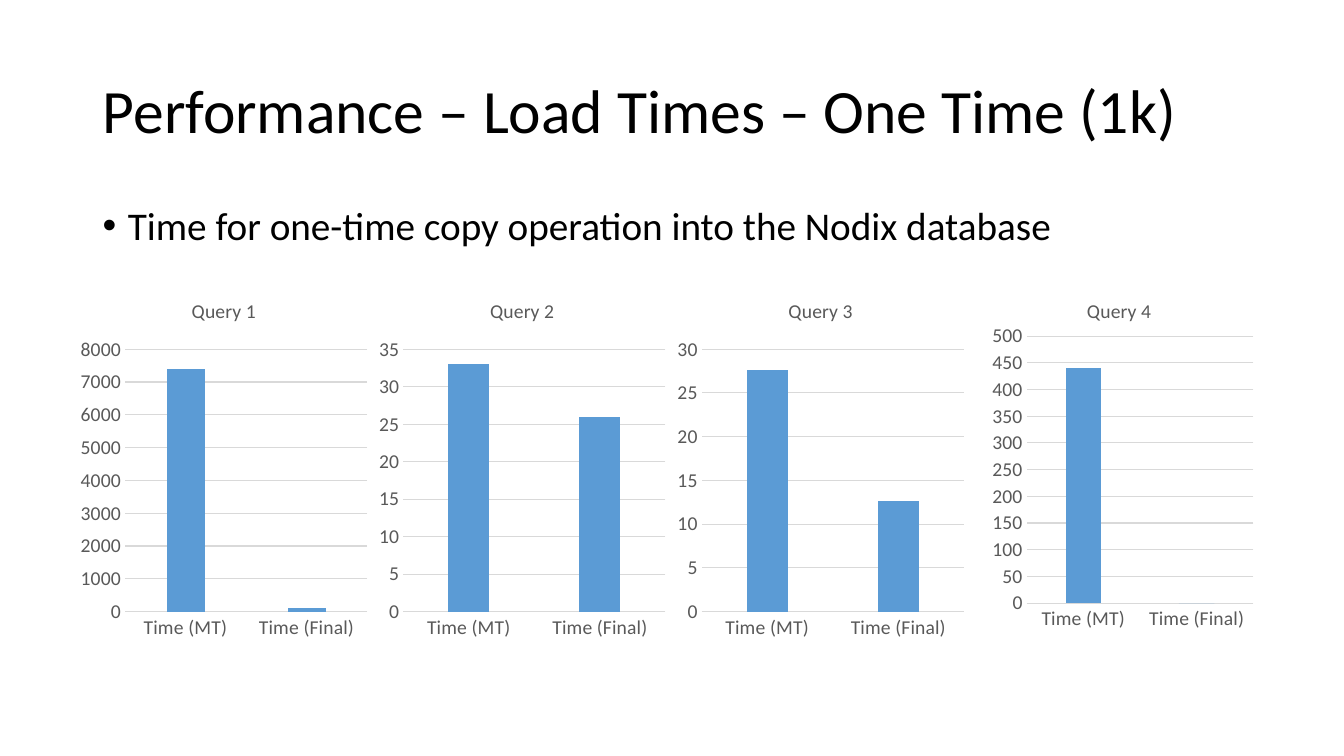
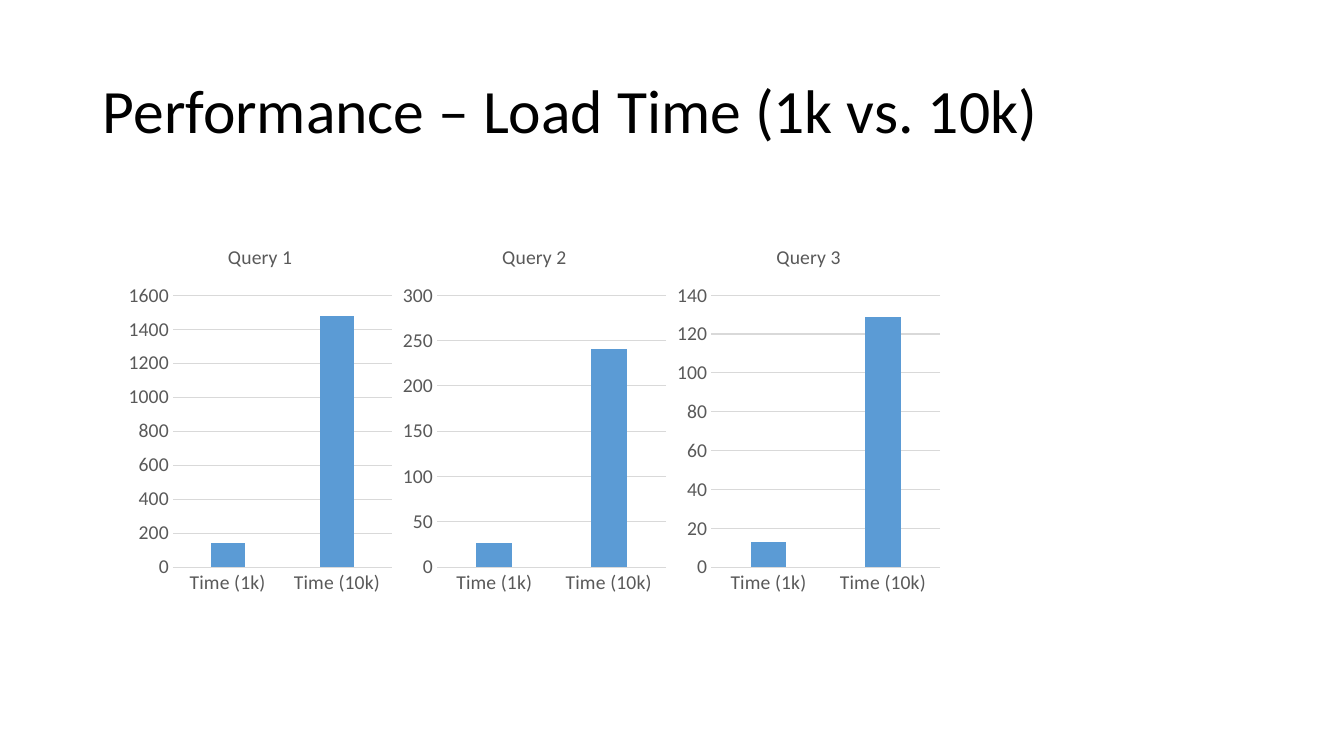
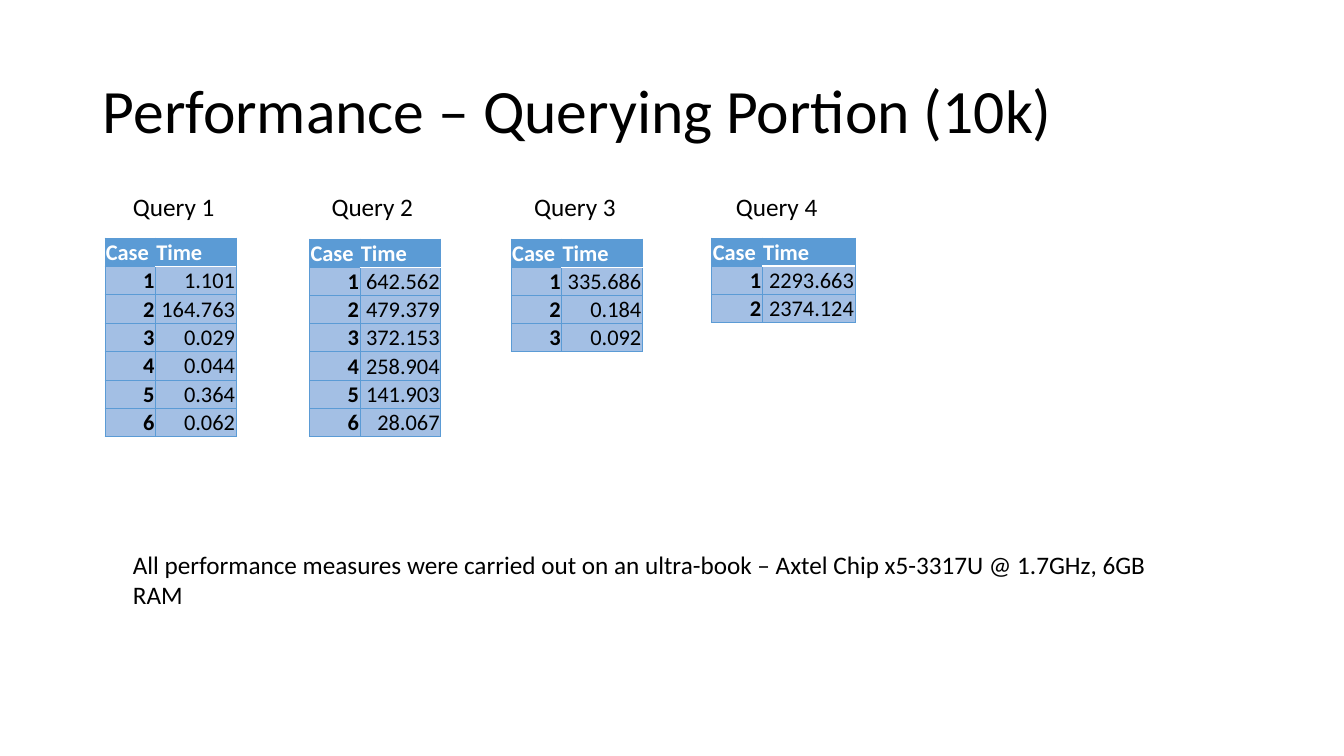
"""Build three slides on query performance: load times in charts and query times in tables."""
from lxml.etree import SubElement
from pptx import Presentation
from pptx.chart.data import CategoryChartData
from pptx.dml.color import RGBColor
from pptx.enum.chart import XL_CHART_TYPE as ChartType, XL_TICK_MARK as Tick
from pptx.enum.text import MSO_ANCHOR as Anchor, MSO_AUTO_SIZE as AutoSize, PP_ALIGN as Align
from pptx.oxml.ns import qn
from pptx.util import Inches, Pt

BLACK = RGBColor(0x00, 0x00, 0x00)
WHITE = RGBColor(0xFF, 0xFF, 0xFF)
BLUE = RGBColor(0x5B, 0x9B, 0xD5)
PALE_BLUE = RGBColor(0xA3, 0xBF, 0xE4)
GREY = RGBColor(0x59, 0x59, 0x59)
LIGHT_GREY = RGBColor(0xD9, 0xD9, 0xD9)
FONT = "Calibri"
TITLE_ONLY = 5
ROW_HEIGHT = 0.28
CASE_WIDTH = 0.5


class Deck:
    def __init__(self):
        self.show = Presentation()
        self.show.slide_width = Inches(13.33)
        self.show.slide_height = Inches(7.5)
        self.slide = None

    def style(self, font, size, color=BLACK, bold=False):
        font.name, font.size, font.bold = FONT, Pt(size), bold
        font.color.rgb = color

    def add_slide(self, heading):
        self.slide = self.show.slides.add_slide(self.show.slide_layouts[TITLE_ONLY])
        title = self.slide.shapes.title
        title.left, title.top = Inches(0.92), Inches(0.4)
        title.width, title.height = Inches(11.5), Inches(1.45)
        frame = title.text_frame
        frame.text = heading
        frame.auto_size = AutoSize.NONE
        frame.vertical_anchor = Anchor.MIDDLE
        paragraph = frame.paragraphs[0]
        paragraph.alignment, paragraph.line_spacing = Align.LEFT, 0.9
        self.style(paragraph.font, 44)

    def text(self, words, left, top, width, height=0.4, size=18, wrap=True):
        box = self.slide.shapes.add_textbox(
            Inches(left), Inches(top), Inches(width), Inches(height))
        box.text_frame.word_wrap = wrap
        paragraph = box.text_frame.paragraphs[0]
        paragraph.text = words
        self.style(paragraph.font, size)
        return paragraph

    def bullet(self, words, left, top, width, height):
        paragraph = self.text(words, left, top, width, height, size=28)
        paragraph.line_spacing, paragraph.space_before = 0.9, Pt(10)
        properties = paragraph.font._element.getparent()
        properties.set("marL", str(Inches(0.25)))
        properties.set("indent", str(-Inches(0.25)))
        marker_font = SubElement(properties, qn("a:buFont"), typeface="Arial")
        marker = SubElement(properties, qn("a:buChar"), char="•")
        paragraph.font._element.addprevious(marker_font)
        paragraph.font._element.addprevious(marker)

    def column_chart(self, name, categories, values, top_value, step, box, plot_area=None):
        data = CategoryChartData()
        data.categories = categories
        data.add_series(name, values)
        chart = self.slide.shapes.add_chart(
            ChartType.COLUMN_CLUSTERED, *map(Inches, box), data).chart
        self.style(chart.font, 10)
        chart.has_legend = False
        chart.has_title = True
        chart.chart_title.include_in_layout = False
        heading = chart.chart_title.text_frame
        heading.text = name
        self.style(heading.paragraphs[0].font, 14, GREY)
        plot = chart.plots[0]
        plot.gap_width, plot.overlap, plot.vary_by_categories = 219, -27, False
        fill = plot.series[0].format.fill
        fill.solid()
        fill.fore_color.rgb = BLUE
        times, cases = chart.value_axis, chart.category_axis
        for axis in (times, cases):
            axis.major_tick_mark = axis.minor_tick_mark = Tick.NONE
            self.style(axis.tick_labels.font, 14, GREY)
        times.minimum_scale, times.maximum_scale, times.major_unit = 0, top_value, step
        times.format.line.fill.background()
        for line in (times.major_gridlines.format.line, cases.format.line):
            line.color.rgb, line.width = LIGHT_GREY, Pt(0.75)
        if plot_area:
            self.place_plot(chart, plot_area)

    def place_plot(self, chart, plot_area):
        area = chart._chartSpace.chart.plotArea
        for old in area.findall(qn("c:layout")):
            area.remove(old)
        layout = SubElement(area, qn("c:layout"))
        area.insert(0, layout)
        manual = SubElement(layout, qn("c:manualLayout"))
        settings = [("layoutTarget", "inner"), ("xMode", "edge"), ("yMode", "edge")]
        for tag, value in settings + list(zip("xywh", map(str, plot_area))):
            SubElement(manual, qn(f"c:{tag}"), val=value)

    def border(self, cell, side, color, width):
        line = SubElement(cell._tc.get_or_add_tcPr(), qn(f"a:ln{side}"), w=str(Pt(width)))
        SubElement(SubElement(line, qn("a:solidFill")), qn("a:srgbClr"), val=str(color))

    def time_table(self, times, left, top, time_width):
        rows = [("Case", "Time")] + [(str(n), time) for n, time in enumerate(times, 1)]
        table = self.slide.shapes.add_table(
            len(rows), 2, Inches(left), Inches(top),
            Inches(CASE_WIDTH + time_width), Inches(ROW_HEIGHT * len(rows))).table
        table.horz_banding = False
        table.columns[0].width, table.columns[1].width = Inches(CASE_WIDTH), Inches(time_width)
        for r, row in enumerate(rows):
            table.rows[r].height = Inches(ROW_HEIGHT)
            for c, words in enumerate(row):
                self.fill_cell(table.cell(r, c), words, r, c)

    def fill_cell(self, cell, words, r, c):
        header = r == 0
        cell.text = words
        cell.vertical_anchor = Anchor.BOTTOM
        cell.margin_left = cell.margin_right = cell.margin_top = Inches(0.01)
        cell.margin_bottom = 0
        paragraph = cell.text_frame.paragraphs[0]
        paragraph.alignment = Align.LEFT if header else Align.RIGHT
        self.style(paragraph.font, 16, WHITE if header else BLACK, header or c == 0)
        for side in "LRTB":
            under_time = c == 1 and (r, side) in ((0, "B"), (1, "T"))
            self.border(cell, side, *((WHITE, 1) if under_time else (BLUE, 0.5)))
        cell.fill.solid()
        cell.fill.fore_color.rgb = BLUE if header else PALE_BLUE


deck = Deck()

deck.add_slide("Performance – Load Times – One Time (1k)")
deck.bullet("Time for one-time copy operation into the Nodix database", 0.92, 2, 11.5, 0.6)
one_time_loads = [
    ((7400, 100), 8000, 1000, None),
    ((33, 26), 35, 5, None),
    ((27.6, 12.7), 30, 5, None),
    ((440, 0), 500, 50, (0.19, 0.15, 0.76, 0.73)),
]
for i, (values, top_value, step, plot_area) in enumerate(one_time_loads):
    deck.column_chart(f"Query {i + 1}", ("Time (MT)", "Time (Final)"), values, top_value, step,
                      (0.74 + 2.96 * i, 2.79, 2.96, 3.63), plot_area)

deck.add_slide("Performance – Load Time (1k vs. 10k)")
size_loads = [((140, 1480), 1600, 200), ((26, 241), 300, 50), ((13, 129), 140, 20)]
for i, (values, top_value, step) in enumerate(size_loads):
    deck.column_chart(f"Query {i + 1}", ("Time (1k)", "Time (10k)"), values, top_value, step,
                      (1.22 + 2.72 * i, 2.25, 2.72, 3.73))

deck.add_slide("Performance – Querying Portion (10k)")
query_times = [
    (1.22, 1.04, 2.36, 0.8, ("1.101", "164.763", "0.029", "0.044", "0.364", "0.062")),
    (3.19, 3.07, 2.37, 0.8, ("642.562", "479.379", "372.153", "258.904", "141.903", "28.067")),
    (5.2, 5.07, 2.37, 0.8, ("335.686", "0.184", "0.092")),
    (7.2, 7.06, 2.36, 0.92, ("2293.663", "2374.124")),
]
for number, (label_left, left, top, time_width, times) in enumerate(query_times, 1):
    deck.time_table(times, left, top, time_width)
    deck.text(f"Query {number}", label_left, 1.85, 1.02, wrap=False)
deck.text("All performance measures were carried out on an ultra-book – "
          "Axtel Chip x5-3317U @ 1.7GHz, 6GB RAM", 1.22, 5.4, 10.76)

deck.show.save("out.pptx")
